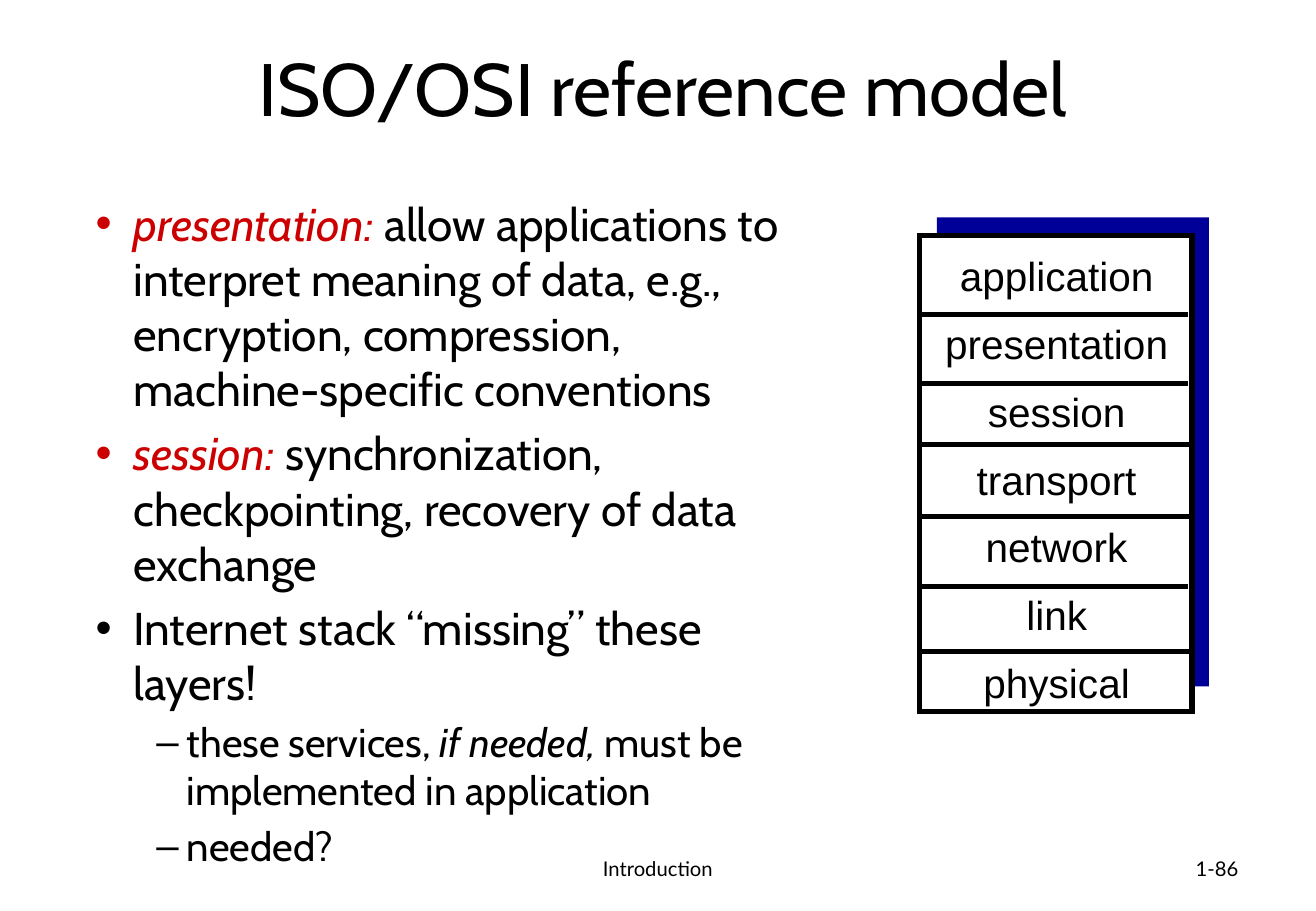
from lxml.etree import SubElement
from pptx import Presentation
from pptx.dml.color import RGBColor
from pptx.enum.shapes import MSO_CONNECTOR, MSO_SHAPE
from pptx.enum.text import MSO_ANCHOR, MSO_AUTO_SIZE, PP_ALIGN
from pptx.oxml.ns import qn
from pptx.util import Inches, Pt

COLORS = {"ink": "000000", "term": "CC0000", "paper": "FFFFFF", "shadow": "000099"}
TITLE = "ISO/OSI reference model"
FOOTER = "Introduction"
PAGE_NUMBER = "1-86"
LAYERS = ["application", "presentation", "session", "transport", "network", "link", "physical"]
POINTS = [
    (0, [("presentation:", "term", True),
         (" allow applications to interpret meaning of data, e.g., encryption, "
          "compression, machine-specific conventions", "ink", False)]),
    (0, [("session:", "term", True),
         (" synchronization, checkpointing, recovery of data exchange", "ink", False)]),
    (0, [("Internet stack “missing” these layers!", "ink", False)]),
    (1, [("these services, ", "ink", False), ("if needed,", "ink", True),
         (" must be implemented in application", "ink", False)]),
    (1, [("needed?", "ink", False)]),
]
LEVELS = [
    {"bullet": "•", "size": 27.2, "left": 0.31, "hang": 0.31, "before": 5.5},
    {"bullet": "–", "size": 23.8, "left": 0.75, "hang": 0.25, "before": 4.5},
]

PERCENT_PLACES = {
    "title": (4.34, 1.2, 92.06, 16.67),
    "points": (6.37, 20.8, 56.42, 67.73),
    "shadow": (71.19, 23.87, 20.68, 51.47),
    "stack": (69.9, 25.87, 20.68, 52.27),
    "layers": (69.44, 28.4, 21.7, 50.4),
    "footer": (34.16, 92.67, 31.67, 5.33),
    "number": (71.65, 92.67, 23.36, 5.33),
}
DIVIDERS = [(69.71, 34.53), (69.71, 42.13), (69.81, 48.8),
            (69.81, 56.67), (69.71, 64.4), (69.9, 71.47)]
DIVIDER_WIDTH = 20.59

deck = Presentation()
deck.slide_width, deck.slide_height = Inches(10.83), Inches(7.5)
slide = deck.slides.add_slide(deck.slide_layouts[5])
shapes = slide.shapes


def across(share):
    return round(deck.slide_width * share / 100)


def down(share):
    return round(deck.slide_height * share / 100)


def place(part):
    left, top, width, height = PERCENT_PLACES[part]
    return across(left), down(top), across(width), down(height)


def color(name):
    return RGBColor.from_string(COLORS[name])


def style(paragraph, font, size, align):
    paragraph.alignment = align
    paragraph.font.name = font
    paragraph.font.size = Pt(size)
    paragraph.font.color.rgb = color("ink")


def add_frame(part, anchor):
    frame = shapes.add_textbox(*place(part)).text_frame
    frame.word_wrap = True
    frame.vertical_anchor = anchor
    return frame


def add_label(part, text, align):
    paragraph = add_frame(part, MSO_ANCHOR.MIDDLE).paragraphs[0]
    paragraph.text = text
    style(paragraph, "Lato", 12, align)


def add_panel(part, fill):
    panel = shapes.add_shape(MSO_SHAPE.RECTANGLE, *place(part))
    panel.shadow.inherit = False
    panel.fill.solid()
    panel.fill.fore_color.rgb = color(fill)
    return panel


def next_paragraph(frame, index):
    return frame.add_paragraph() if index else frame.paragraphs[0]


def add_bullet(paragraph, level, tint):
    properties = paragraph._p.get_or_add_pPr()
    properties.set("marL", str(Inches(level["left"])))
    properties.set("indent", str(-Inches(level["hang"])))
    bullet_color = SubElement(properties, qn("a:buClr"))
    SubElement(bullet_color, qn("a:srgbClr"), val=COLORS[tint])
    SubElement(properties, qn("a:buFont"), typeface="Arial")
    SubElement(properties, qn("a:buChar"), char=level["bullet"])


title = shapes.title
title.left, title.top, title.width, title.height = place("title")
title.text_frame.text = TITLE
title.text_frame.auto_size = MSO_AUTO_SIZE.NONE
title.text_frame.vertical_anchor = MSO_ANCHOR.MIDDLE
style(title.text_frame.paragraphs[0], "Cabin", 44, PP_ALIGN.CENTER)

points = add_frame("points", MSO_ANCHOR.TOP)
for index, (depth, pieces) in enumerate(POINTS):
    level = LEVELS[depth]
    point = next_paragraph(points, index)
    point.level = depth
    add_bullet(point, level, pieces[0][1])
    if index:
        point.space_before = Pt(level["before"])
    style(point, "Cabin", level["size"], PP_ALIGN.LEFT)
    for text, tint, italic in pieces:
        piece = point.add_run()
        piece.text = text
        piece.font.italic = italic
        piece.font.color.rgb = color(tint)

add_panel("shadow", "shadow").line.fill.background()
stack = add_panel("stack", "paper")
stack.line.color.rgb = color("ink")
stack.line.width = Pt(3)
SubElement(stack.line._get_or_add_ln(), qn("a:miter"), lim="800000")

layers = add_frame("layers", MSO_ANCHOR.TOP)
for index, name in enumerate(LAYERS):
    layer = next_paragraph(layers, index)
    layer.text = name
    layer.line_spacing = 0.7
    if index:
        layer.space_before = Pt(20)
    style(layer, "Arial", 24, PP_ALIGN.CENTER)

for left, top in DIVIDERS:
    divider = shapes.add_connector(MSO_CONNECTOR.STRAIGHT, across(left), down(top),
                                   across(left + DIVIDER_WIDTH), down(top))
    divider.line.color.rgb = color("ink")
    divider.line.width = Pt(3)
    SubElement(divider._element.spPr, qn("a:effectLst"))

add_label("footer", FOOTER, PP_ALIGN.CENTER)
add_label("number", PAGE_NUMBER, PP_ALIGN.RIGHT)

deck.save("out.pptx")
